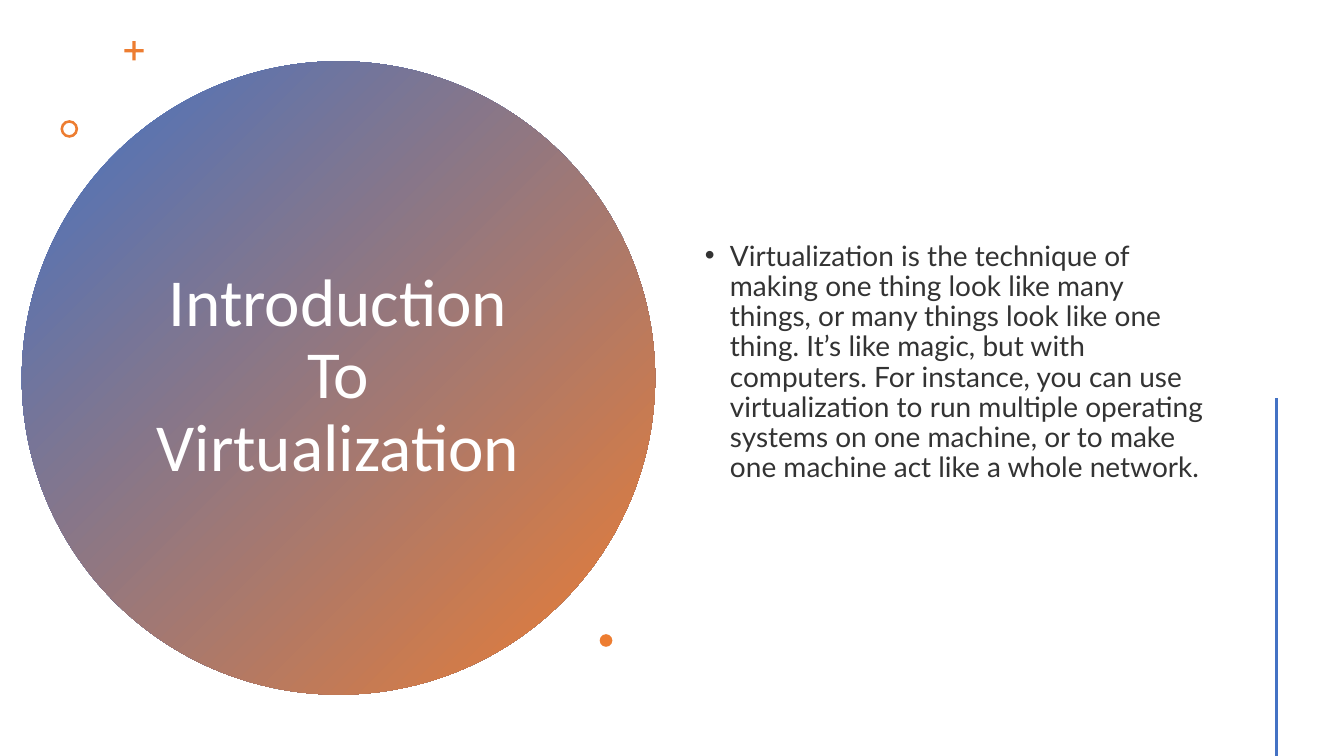
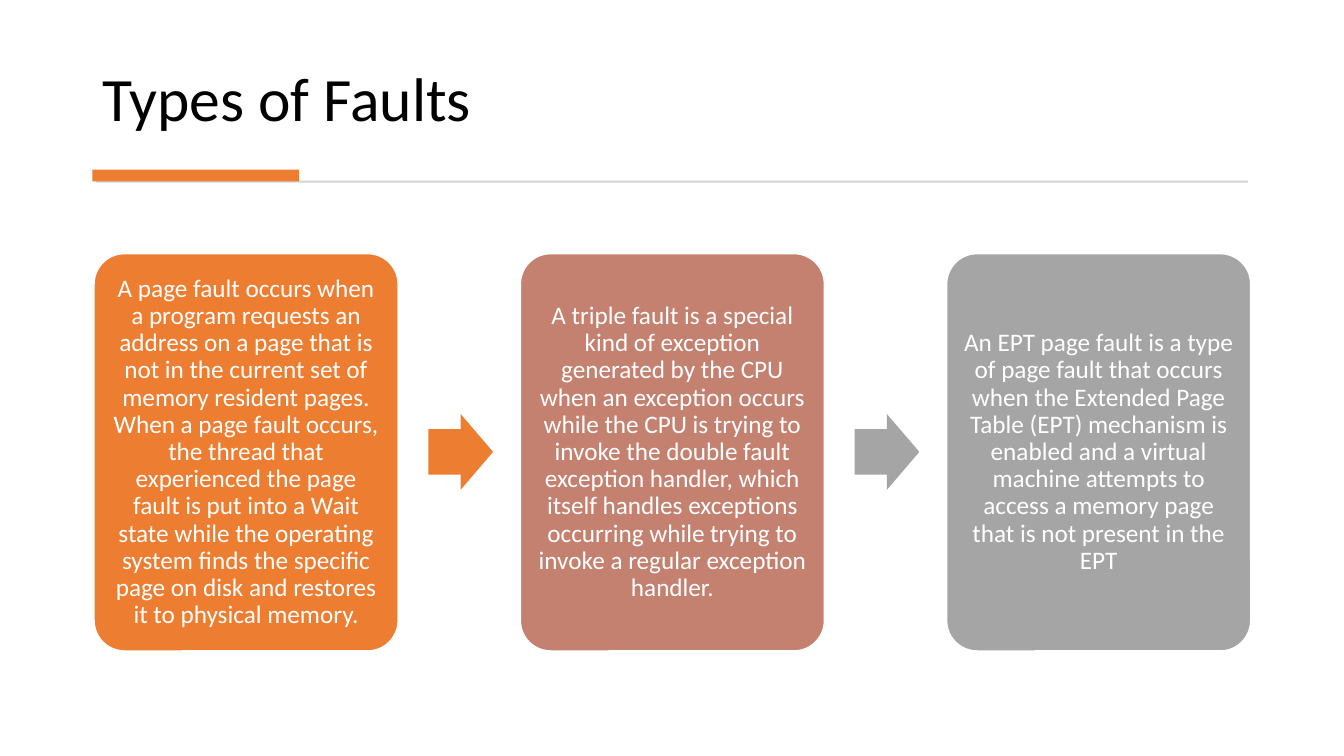
from dataclasses import dataclass

from pptx import Presentation
from pptx.dml.color import RGBColor
from pptx.enum.shapes import MSO_CONNECTOR, MSO_SHAPE
from pptx.enum.text import MSO_ANCHOR, MSO_AUTO_SIZE, PP_ALIGN
from pptx.oxml.ns import qn
from pptx.shapes.autoshape import Shape
from pptx.slide import Slide
from pptx.util import Emu, Inches, Pt
from lxml.etree import SubElement

COLS, ROWS = 160, 90
CELL = 76200

BLUE = RGBColor(0x44, 0x72, 0xC4)
ORANGE = RGBColor(0xED, 0x7D, 0x31)
ROSE = RGBColor(0xC4, 0x81, 0x70)
GRAY = RGBColor(0xA5, 0xA5, 0xA5)
SILVER = RGBColor(0xD5, 0xD5, 0xD5)
INK = RGBColor(0x33, 0x33, 0x33)
BLACK = RGBColor(0x00, 0x00, 0x00)
WHITE = RGBColor(0xFF, 0xFF, 0xFF)

HEAD_FONT = "Calibri"
BODY_FONT = "Lato"


@dataclass(frozen=True)
class Box:
    col: float
    row: float
    wide: float
    high: float

    def shift(self, cols: float) -> "Box":
        return Box(self.col + cols, self.row, self.wide, self.high)


@dataclass(frozen=True)
class Style:
    font: str
    size: int
    color: RGBColor
    align: PP_ALIGN = PP_ALIGN.LEFT
    anchor: MSO_ANCHOR = MSO_ANCHOR.MIDDLE
    inset: float = 0.1


@dataclass(frozen=True)
class Mark:
    kind: MSO_SHAPE
    box: Box
    color: RGBColor
    adjust: tuple[float, ...] = ()


@dataclass(frozen=True)
class Card:
    color: RGBColor
    text: str


COVER = Style(HEAD_FONT, 48, WHITE, PP_ALIGN.CENTER)
HEADING = Style(HEAD_FONT, 44, BLACK, anchor=MSO_ANCHOR.BOTTOM)
BODY = Style(BODY_FONT, 20, INK)
CARD = Style(HEAD_FONT, 18, WHITE, PP_ALIGN.CENTER, inset=0.07)

DISC = Mark(MSO_SHAPE.OVAL, Box(2.6, 7.3, 75.4, 75.4), BLUE)
ACCENTS = (
    Mark(MSO_SHAPE.CROSS, Box(14.8, 4.9, 2.3, 2.3), ORANGE, (0.42,)),
    Mark(MSO_SHAPE.DONUT, Box(7.2, 14.3, 2.1, 2.1), ORANGE, (0.15,)),
    Mark(MSO_SHAPE.OVAL, Box(71.4, 75.5, 1.5, 1.5), ORANGE),
)
BANDS = (
    Mark(MSO_SHAPE.RECTANGLE, Box(11.4, 21.5, 137.2, 0.24), SILVER),
    Mark(MSO_SHAPE.RECTANGLE, Box(11, 20.2, 24.6, 1.4), ORANGE),
)

PITCH = 50.75
CARD_BOX = Box(11.2, 30.2, 36.2, 47.3)
ARROW_BOX = Box(51, 49.3, 7.7, 9)
CARDS = (
    Card(
        ORANGE,
        "A page fault occurs when a program requests an address on a page "
        "that is not in the current set of memory resident pages. When a page "
        "fault occurs, the thread that experienced the page fault is put into "
        "a Wait state while the operating system finds the specific page on "
        "disk and restores it to physical memory.",
    ),
    Card(
        ROSE,
        "A triple fault is a special kind of exception generated by the CPU "
        "when an exception occurs while the CPU is trying to invoke the double "
        "fault exception handler, which itself handles exceptions occurring "
        "while trying to invoke a regular exception handler.",
    ),
    Card(
        GRAY,
        "An EPT page fault is a type of page fault that occurs when the "
        "Extended Page Table (EPT) mechanism is enabled and a virtual machine "
        "attempts to access a memory page that is not present in the EPT",
    ),
)
ARROWS = (ORANGE, GRAY)

INTRO = (
    "Virtualization is the technique of making one thing look like many "
    "things, or many things look like one thing. It’s like magic, but with "
    "computers. For instance, you can use virtualization to run multiple "
    "operating systems on one machine, or to make one machine act like a "
    "whole network."
)


def cells(count: float) -> Emu:
    return Emu(round(count * CELL))


def place(shape: Shape, box: Box) -> None:
    shape.left, shape.top = cells(box.col), cells(box.row)
    shape.width, shape.height = cells(box.wide), cells(box.high)


def write(shape: Shape, text: str, style: Style) -> None:
    frame = shape.text_frame
    frame.word_wrap = True
    frame.auto_size = MSO_AUTO_SIZE.NONE
    frame.vertical_anchor = style.anchor
    if style is CARD:
        frame.margin_left = frame.margin_right = Inches(style.inset)
        frame.margin_top = frame.margin_bottom = Inches(style.inset)
    para = frame.paragraphs[0]
    para.alignment = style.align
    para.line_spacing = 0.9
    para.space_before = Pt(0)
    run = para.add_run()
    run.text = text
    run.font.name = style.font
    run.font.size = Pt(style.size)
    run.font.color.rgb = style.color


def fill(shape: Shape, box: Box, text: str, style: Style) -> None:
    place(shape, box)
    write(shape, text, style)


def draw(slide: Slide, mark: Mark) -> Shape:
    box = mark.box
    shape = slide.shapes.add_shape(
        mark.kind, cells(box.col), cells(box.row), cells(box.wide), cells(box.high)
    )
    shape.shadow.inherit = False
    shape.fill.solid()
    shape.fill.fore_color.rgb = mark.color
    shape.line.fill.background()
    for index, value in enumerate(mark.adjust):
        shape.adjustments[index] = value
    return shape


def blend(shape: Shape, first: RGBColor, last: RGBColor) -> None:
    shape.fill.gradient()
    shape.fill.gradient_angle = 315
    for stop, color in zip(shape.fill.gradient_stops, (first, last)):
        stop.color.rgb = color


def rule(slide: Slide, col: float, top: float, end: float) -> None:
    line = slide.shapes.add_connector(
        MSO_CONNECTOR.STRAIGHT, cells(col), cells(top), cells(col), cells(end)
    )
    line.line.color.rgb = BLUE
    line.line.width = Pt(2)
    SubElement(line.element.spPr, qn("a:effectLst"))


def indent(shape: Shape, inches: float) -> None:
    props = shape.text_frame.paragraphs[0]._p.get_or_add_pPr()
    props.set("marL", str(Inches(inches)))
    props.set("indent", str(-Inches(inches)))


def intro(deck: Presentation) -> None:
    slide = deck.slides.add_slide(deck.slide_layouts[1])
    disc = draw(slide, DISC)
    blend(disc, BLUE, ORANGE)
    slide.shapes.element.insert(2, disc.element)
    title, body = slide.placeholders
    fill(title, Box(16.3, 16.9, 47.9, 56), "Introduction To Virtualization", COVER)
    fill(body, Box(82.7, 6.8, 62.6, 72.8), INTRO, BODY)
    indent(body, 0.25)
    for mark in ACCENTS:
        draw(slide, mark)
    rule(slide, 152, 47.4, ROWS)


def faults(deck: Presentation) -> None:
    slide = deck.slides.add_slide(deck.slide_layouts[5])
    fill(slide.shapes.title, Box(11, 3.4, 137.9, 13.3), "Types of Faults", HEADING)
    for mark in BANDS:
        draw(slide, mark)
    for index, card in enumerate(CARDS):
        box = CARD_BOX.shift(index * PITCH)
        panel = draw(slide, Mark(MSO_SHAPE.ROUNDED_RECTANGLE, box, card.color, (0.1,)))
        panel.line.color.rgb = WHITE
        panel.line.width = Pt(1)
        write(panel, card.text, CARD)
    for index, color in enumerate(ARROWS):
        box = ARROW_BOX.shift(index * PITCH)
        draw(slide, Mark(MSO_SHAPE.RIGHT_ARROW, box, color, (0.6, 0.5)))


def main() -> None:
    deck = Presentation()
    deck.slide_width, deck.slide_height = cells(COLS), cells(ROWS)
    intro(deck)
    faults(deck)
    deck.save("out.pptx")


if __name__ == "__main__":
    main()
